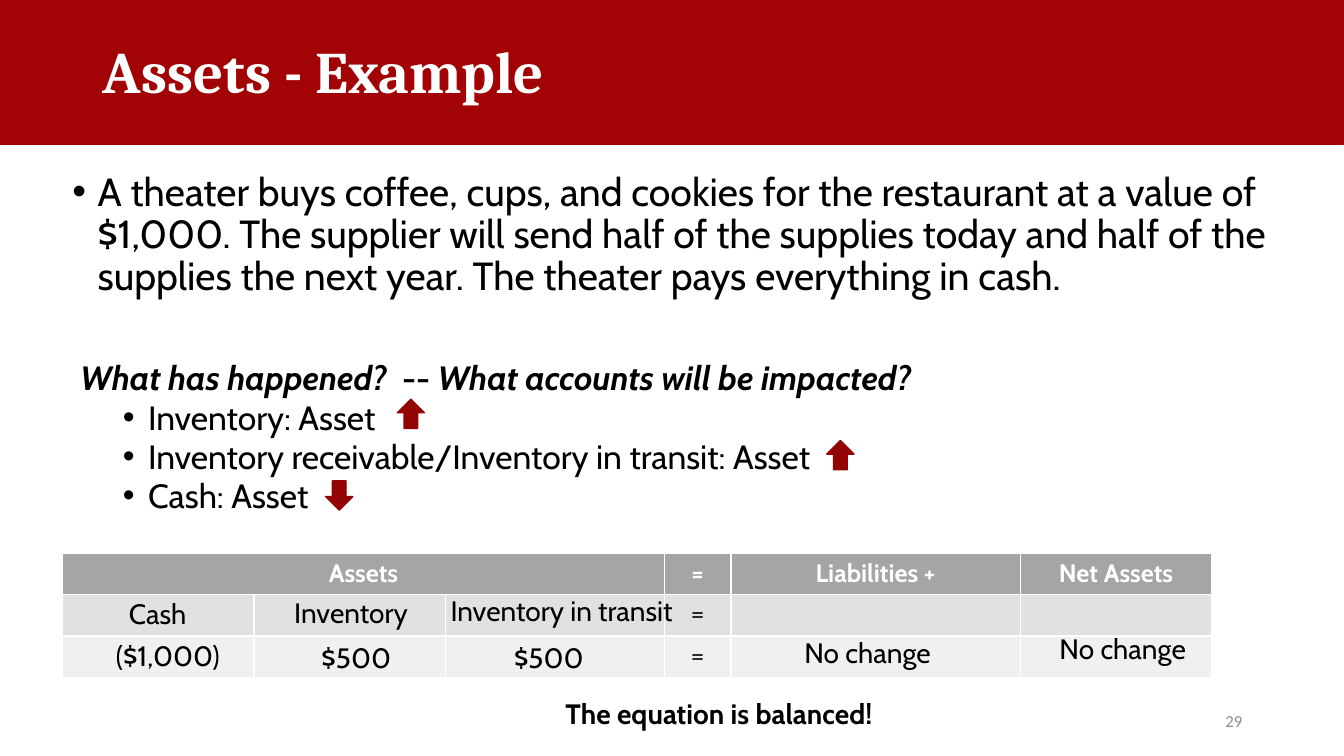
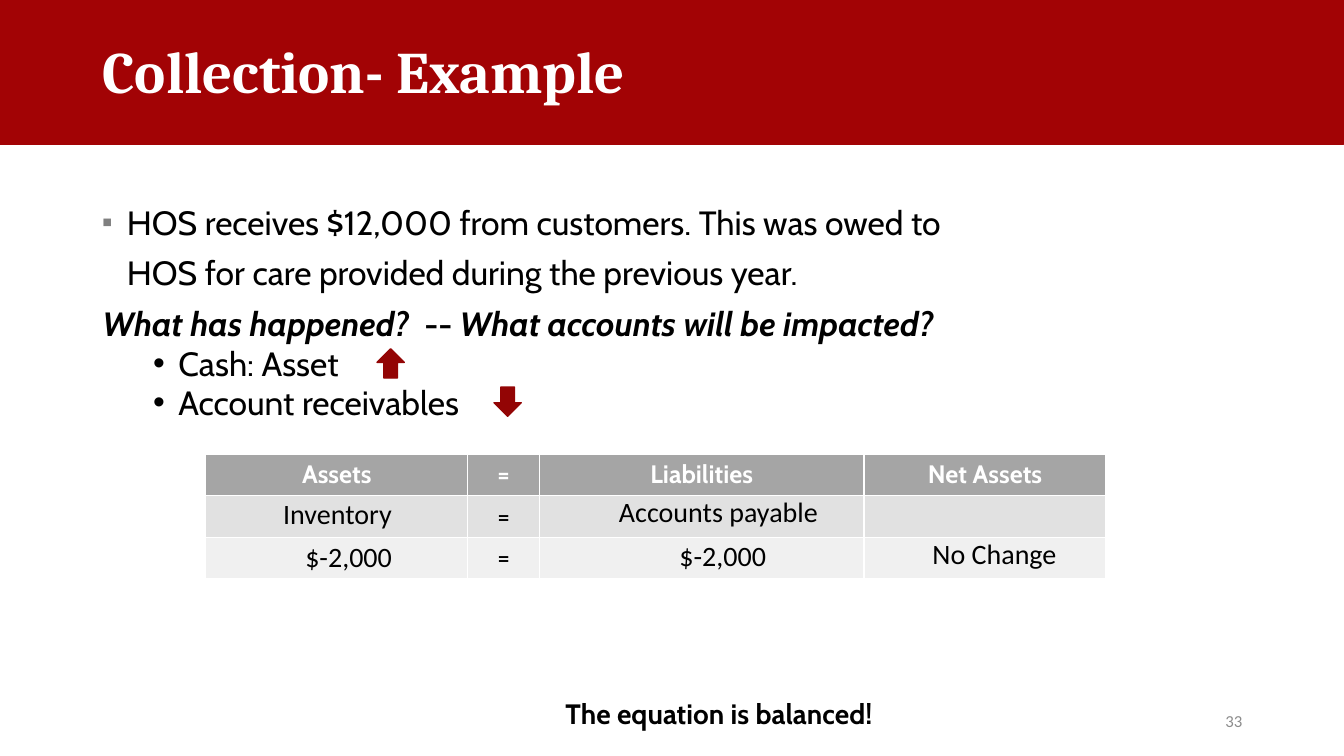
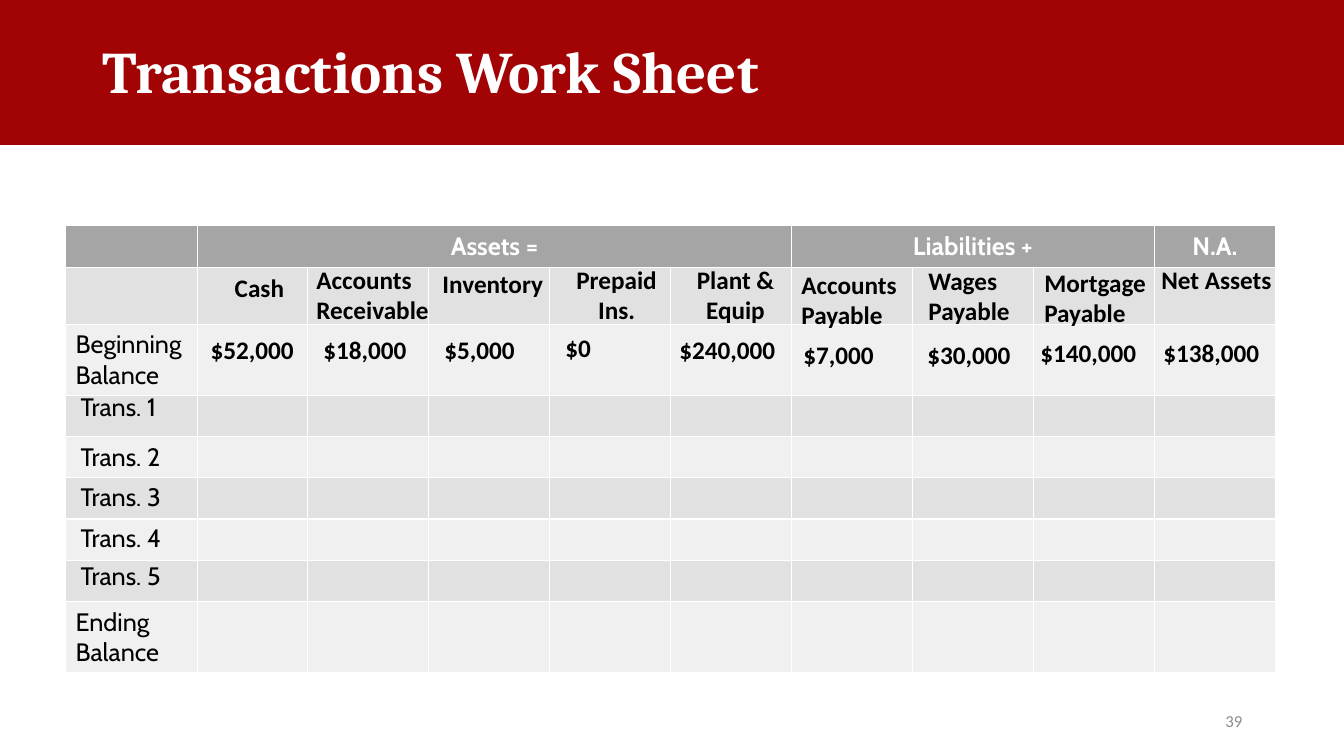
"""Build three accounting slides: two worked examples and a transactions work sheet."""
from lxml import etree
from pptx import Presentation
from pptx.dml.color import RGBColor
from pptx.enum import shapes, text
from pptx.oxml.ns import qn
from pptx.util import Inches, Pt

COLORS = {
    "band": "A20305", "arrow": "930505", "white": "FFFFFF", "black": "000000",
    "number": "8C8C8C", "header": "A5A5A5", "dark_row": "E1E1E1",
    "light_row": "F0F0F0", "bullet": "808080",
}
COLOR = {name: RGBColor.from_string(value) for name, value in COLORS.items()}
UP, DOWN = shapes.MSO_SHAPE.UP_ARROW, shapes.MSO_SHAPE.DOWN_ARROW
LEFT, CENTER, RIGHT = text.PP_ALIGN.LEFT, text.PP_ALIGN.CENTER, text.PP_ALIGN.RIGHT
QUESTION = [("What has happened? ", True), (" -- ", False), ("What accounts will be impacted?", True)]
BALANCED = ("Cabin", 20, True, [("The equation is balanced!", 5.51, 6.86, 3.91, LEFT)])
POINT = {"size": 24, "margin": 0.75, "hang": 0.25, "bullet": "•", "spacing": 0.8, "before": 5}


def style(paragraph, font, size, color, bold=False, align=LEFT):
    """Set the font and alignment of a whole paragraph."""
    paragraph.alignment = align
    paragraph.font.name = font
    paragraph.font.size = Pt(size)
    paragraph.font.bold = bold
    paragraph.font.color.rgb = COLOR[color]


def add_text(page, words, left, top, width, height):
    """Add a wrapping text box and return its frame."""
    box = page.shapes.add_textbox(Inches(left), Inches(top), Inches(width), Inches(height))
    box.text_frame.word_wrap = True
    box.text_frame.text = words
    return box.text_frame


slides = [
    {
        "title": "Assets - Example", "number": "29",
        "body": (0.62, 1.66, 12.2, 3.67),
        "paragraphs": [
            ([("A theater buys coffee, cups, and cookies for the restaurant at a value of "
               "$1,000. The supplier will send half of the supplies today and half of the "
               "supplies the next year. The theater pays everything in cash.", False)],
             {"size": 28, "margin": 0.25, "hang": 0.25, "bullet": "•"}),
            (QUESTION, {"size": 24, "margin": 0.08, "spacing": 0.8, "before": 47, "bold": True}),
            ([("Inventory: Asset", False)], POINT),
            ([("Inventory receivable/Inventory in transit: Asset", False)], POINT),
            ([("Cash: Asset", False)], POINT),
        ],
        "arrows": [(UP, 3.94, 3.96), (UP, 8.2, 4.37), (DOWN, 3.23, 4.77)],
        "table": (0.62, 5.49),
        "columns": [1.9, 1.9, 2.17, 0.66, 2.87, 1.9], "rows": [0.41] * 3,
        "headers": [("Assets", 3), ("=", 1), ("Liabilities +", 1), ("Net Assets", 1)],
        "cells": [(1, 3, "=", "Calibri", CENTER), (2, 3, "=", "Calibri", CENTER)],
        "labels": [
            ("Cabin", 20, False, [
                ("Cash", 1.18, 5.87, 0.99, LEFT),
                ("($1,000)", 1.05, 6.29, 1.64, LEFT),
                ("Inventory", 2.82, 5.86, 1.64, LEFT),
                ("$500", 3.09, 6.31, 1.64, LEFT),
                ("Inventory in transit", 4.37, 5.84, 2.47, LEFT),
                ("$500", 5, 6.31, 1.64, LEFT),
                ("No change", 7.88, 6.26, 1.64, LEFT),
                ("No change", 10.41, 6.22, 1.64, LEFT),
            ]),
            BALANCED,
        ],
    },
    {
        "title": "Collection- Example", "number": "33",
        "body": (0.92, 2, 11.5, 2.4),
        "paragraphs": [
            ([("HOS receives $12,000 from customers. This was owed to", False)],
             {"size": 24, "margin": 0.24, "hang": 0.24, "bullet": "■", "small": True}),
            ([("HOS for care provided during the previous year.", False)],
             {"size": 24, "margin": 0.24, "before": 10}),
            (QUESTION, {"size": 24, "before": 10, "bold": True}),
            ([("Cash: Asset", False)], POINT),
            ([("Account receivables", False)], POINT),
        ],
        "arrows": [(UP, 3.74, 3.46), (DOWN, 4.9, 3.84)],
        "table": (2.04, 4.51),
        "columns": [2.6, 0.71, 3.22, 2.4], "rows": [0.41] * 3,
        "headers": [("Assets", 1), ("=", 1), ("Liabilities", 1), ("Net Assets", 1)],
        "cells": [(1, 1, "=", "Cabin", CENTER), (2, 1, "=", "Cabin", CENTER)],
        "labels": [
            ("Calibri", 20, False, [
                ("Inventory", 2.71, 4.88, 2.32, LEFT),
                ("$-2,000", 2.93, 5.3, 1.24, LEFT),
                ("Accounts payable", 6.04, 4.86, 2.32, LEFT),
                ("$-2,000", 6.64, 5.29, 2.32, LEFT),
                ("No Change", 9.15, 5.27, 2.32, LEFT),
            ]),
            BALANCED,
        ],
    },
    {
        "title": "Transactions Work Sheet", "number": "39",
        "body": None, "paragraphs": [], "arrows": [],
        "table": (0.65, 2.24),
        "columns": [1.31, 1.09] + [1.2] * 8,
        "rows": [0.41, 0.57, 0.7] + [0.41] * 5 + [0.7],
        "headers": [("", 1), ("Assets =", 5), ("Liabilities +", 3), ("N.A.", 1)],
        "cells": [(2, 0, "Beginning Balance", "Cabin", LEFT), (8, 0, "Ending Balance", "Cabin", LEFT)],
        "labels": [
            ("Calibri", 18, True, [
                ("Cash", 2.23, 2.65, 0.76, LEFT),
                ("Accounts Receivable", 3.04, 2.57, 1.4, LEFT),
                ("Inventory", 4.29, 2.61, 1.4, LEFT),
                ("Prepaid Ins.", 5.49, 2.57, 1.25, CENTER),
                ("Plant & Equip", 6.67, 2.57, 1.25, CENTER),
                ("Accounts Payable", 7.85, 2.62, 1.4, LEFT),
                ("Wages Payable", 9.11, 2.58, 1.4, LEFT),
                ("Mortgage Payable", 10.26, 2.6, 1.4, LEFT),
                ("Net Assets", 11.42, 2.57, 1.4, LEFT),
                ("$52,000", 1.99, 3.27, 1.25, LEFT),
                ("$18,000", 3.11, 3.27, 1.25, LEFT),
                ("$5,000", 4.31, 3.27, 1.25, LEFT),
                ("$0", 5.51, 3.25, 1.25, LEFT),
                ("$240,000", 6.64, 3.27, 1.25, LEFT),
                ("$7,000", 7.87, 3.32, 1.25, LEFT),
                ("$30,000", 9.1, 3.32, 1.25, LEFT),
                ("$140,000", 10.22, 3.3, 1.25, LEFT),
                ("$138,000", 11.44, 3.3, 1.25, LEFT),
            ]),
            ("Cabin", 18, False, [
                (f"Trans. {index}", 0.7, top, 1.25, LEFT)
                for index, top in enumerate([3.83, 4.33, 4.73, 5.13, 5.51], 1)
            ]),
        ],
    },
]

deck = Presentation()
deck.slide_width, deck.slide_height = Inches(13.33), Inches(7.5)
layout = deck.slide_layouts[5]

for position, content in enumerate(slides):
    page = deck.slides.add_slide(layout)

    if position == 0:
        band = page.shapes.add_shape(shapes.MSO_SHAPE.RECTANGLE, 0, 0, deck.slide_width, Inches(1.43))
        band.shadow.inherit = False
        band.fill.solid()
        band.fill.fore_color.rgb = COLOR["band"]
        band.line.color.rgb = COLOR["band"]
        layout.shapes.element.insert(2, band.element)

    title = page.shapes.title
    title.left, title.top, title.width, title.height = map(Inches, (0.92, 0.01, 11.5, 1.45))
    title.text_frame.text = content["title"]
    title.text_frame.vertical_anchor = text.MSO_ANCHOR.MIDDLE
    title.text_frame.auto_size = text.MSO_AUTO_SIZE.NONE
    heading = title.text_frame.paragraphs[0]
    heading.line_spacing = 0.9
    style(heading, "Cambria", 42, "white", True)

    number = add_text(page, content["number"], 9.42, 6.95, 3, 0.4)
    number.vertical_anchor = text.MSO_ANCHOR.MIDDLE
    style(number.paragraphs[0], "Calibri", 12, "number", align=RIGHT)

    if content["body"]:
        body = add_text(page, "", *content["body"])
    for order, (runs, look) in enumerate(content["paragraphs"]):
        paragraph = body.add_paragraph() if order else body.paragraphs[0]
        properties = paragraph._p.get_or_add_pPr()
        properties.set("marL", str(Inches(look.get("margin", 0))))
        properties.set("indent", str(-Inches(look.get("hang", 0))))
        if look.get("small"):
            tint = etree.SubElement(properties, qn("a:buClr"))
            etree.SubElement(tint, qn("a:srgbClr"), val=COLORS["bullet"])
            etree.SubElement(properties, qn("a:buSzPct"), val="46000")
        if "bullet" in look:
            etree.SubElement(properties, qn("a:buFont"), typeface="Arial")
            etree.SubElement(properties, qn("a:buChar"), char=look["bullet"])
        paragraph.line_spacing = look.get("spacing", 0.9)
        paragraph.space_before = Pt(look.get("before", 0))
        style(paragraph, "Cabin", look["size"], "black", look.get("bold", False))
        for words, italic in runs:
            span = paragraph.add_run()
            span.text = words
            if italic:
                span.font.italic = True

    columns, rows = content["columns"], content["rows"]
    left, top = content["table"]
    table = page.shapes.add_table(
        len(rows), len(columns), Inches(left), Inches(top),
        Inches(sum(columns)), Inches(sum(rows))).table
    for column, width in zip(table.columns, columns):
        column.width = Inches(width)
    for index, (row, height) in enumerate(zip(table.rows, rows)):
        row.height = Inches(height)
        shade = "header" if index == 0 else "dark_row" if index % 2 else "light_row"
        for cell in row.cells:
            cell.fill.solid()
            cell.fill.fore_color.rgb = COLOR[shade]
    start = 0
    for words, reach in content["headers"]:
        cell = table.cell(0, start)
        if reach > 1:
            cell.merge(table.cell(0, start + reach - 1))
        cell.text = words
        style(cell.text_frame.paragraphs[0], "Cabin", 18, "white", True, CENTER)
        start += reach
    for row, column, words, font, align in content["cells"]:
        cell = table.cell(row, column)
        cell.text = words
        style(cell.text_frame.paragraphs[0], font, 18, "black", align=align)

    for font, size, bold, labels in content["labels"]:
        for words, left, top, width, align in labels:
            label = add_text(page, words, left, top, width, 0.44 if size == 20 else 0.4)
            label.auto_size = text.MSO_AUTO_SIZE.SHAPE_TO_FIT_TEXT
            style(label.paragraphs[0], font, size, "black", bold, align)

    for kind, left, top in content["arrows"]:
        arrow = page.shapes.add_shape(kind, Inches(left), Inches(top), Inches(0.27), Inches(0.29))
        arrow.shadow.inherit = False
        arrow.fill.solid()
        arrow.fill.fore_color.rgb = COLOR["arrow"]
        arrow.line.color.rgb = COLOR["arrow"]
        arrow.line.width = Pt(1)

deck.save("out.pptx")
